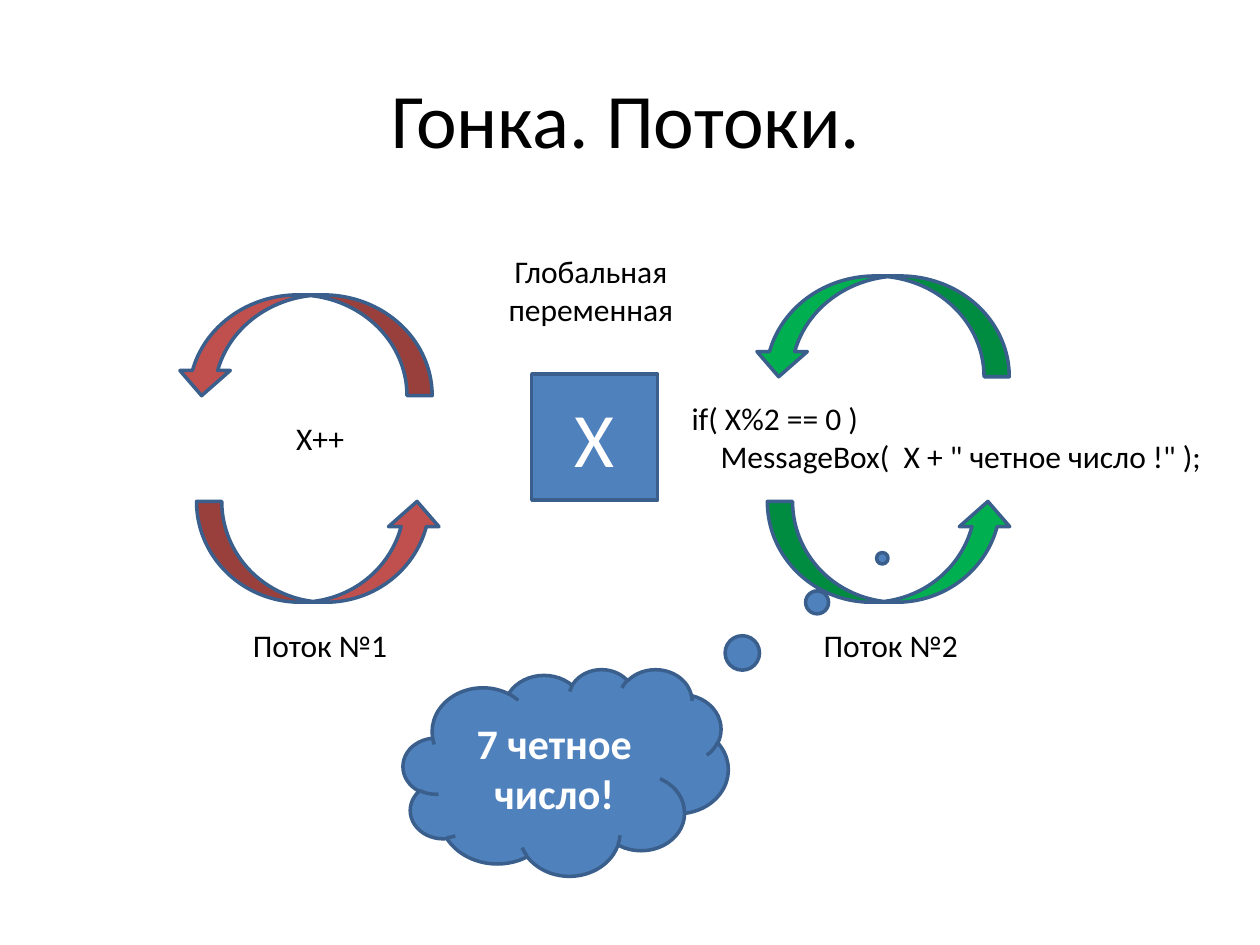
"""Build the slide about a race between two threads."""
import pptx
import pptx.dml.color
import pptx.enum.shapes
import pptx.enum.text
import pptx.util

Inches = pptx.util.Inches
Shape = pptx.enum.shapes.MSO_SHAPE
Align = pptx.enum.text.PP_ALIGN
Anchor = pptx.enum.text.MSO_ANCHOR
HUES = {"ink": "000000", "white": "FFFFFF", "blue": "4F81BD",
        "edge": "3A5F8C", "red": "C0504D", "green": "00B050"}


def tint(name):
    return pptx.dml.color.RGBColor.from_string(HUES[name])


def write(item, text, size, hue, align=Align.CENTER, anchor=Anchor.TOP, bold=False):
    frame = item.text_frame
    frame.word_wrap = True
    frame.vertical_anchor = anchor
    frame.text = text
    for para in frame.paragraphs:
        para.alignment = align
        for run in para.runs:
            run.font.name = "Calibri"
            run.font.size = pptx.util.Pt(size)
            run.font.bold = bold
            run.font.color.rgb = tint(hue)


def label(slide, box, text, size=18, **style):
    item = slide.shapes.add_textbox(*map(Inches, box))
    write(item, text, size, "ink", **style)
    return item


def figure(slide, kind, box, hue):
    item = slide.shapes.add_shape(kind, *map(Inches, box))
    item.shadow.inherit = False
    item.fill.solid()
    item.fill.fore_color.rgb = tint(hue)
    item.line.color.rgb = tint("edge")
    item.line.width = pptx.util.Pt(2)
    return item


def thread(slide, left, top_box, hue, name):
    figure(slide, Shape.CURVED_UP_ARROW, (left, 3.98, 1.95, 0.8), hue)
    figure(slide, Shape.CURVED_UP_ARROW, top_box, hue).rotation = 180
    label(slide, (left - 0.19, 4.92, 2.34, 0.4), name)


def main():
    deck = pptx.Presentation()
    deck.slide_width, deck.slide_height = Inches(10), Inches(7.5)
    slide = deck.slides.add_slide(deck.slide_layouts[6])

    label(slide, (0.47, 0.31, 9, 1.25), "Гонка. Потоки.", 44, anchor=Anchor.MIDDLE)
    thread(slide, 1.56, (1.4, 2.34, 2.03, 0.8), "red", "Поток №1")
    thread(slide, 6.09, (5.98, 2.19, 2.03, 0.8), "green", "Поток №2")

    label(slide, (3.52, 1.95, 2.34, 0.71), "Глобальная переменная")
    square = figure(slide, Shape.RECTANGLE, (4.22, 2.97, 1, 1), "blue")
    write(square, "X", 44, "white", anchor=Anchor.MIDDLE)

    label(slide, (1.37, 3.28, 2.34, 0.4), "X++")
    code = label(slide, (5.39, 3.12, 4.38, 0.71),
                 'if( X%2 == 0 )\nMessageBox(  X + " четное число !" );',
                 align=Align.LEFT)
    inner = code.text_frame.paragraphs[1]._p.get_or_add_pPr()
    inner.set("marL", str(Inches(0.23)))
    inner.set("indent", "0")

    cloud = figure(slide, Shape.CLOUD_CALLOUT, (3.2, 5.31, 2.58, 1.64), "blue")
    cloud.adjustments[0], cloud.adjustments[1] = 0.974, -1.036
    write(cloud, "7 четное число!", 24, "white", anchor=Anchor.MIDDLE, bold=True)
    deck.save("out.pptx")


main()
